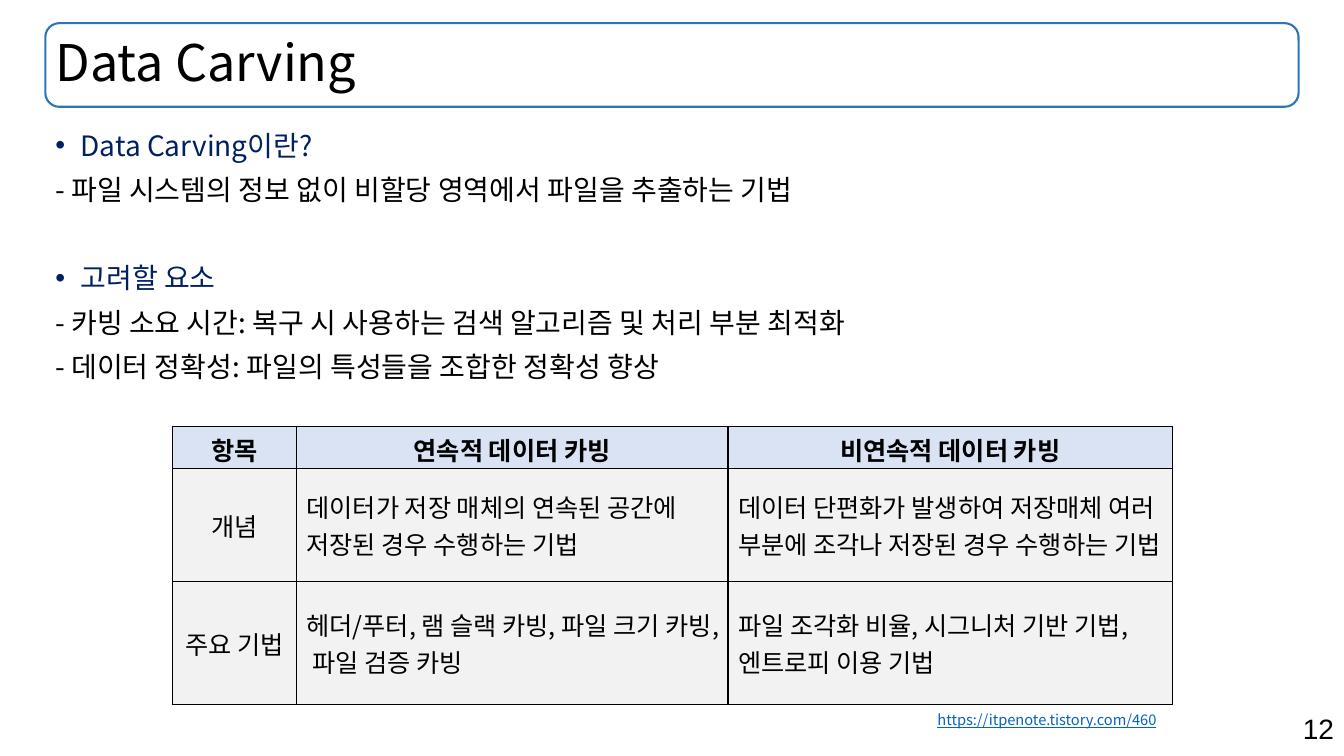
from lxml import etree
from pptx import Presentation
from pptx.dml.color import RGBColor
from pptx.enum.shapes import MSO_SHAPE
from pptx.enum.text import MSO_ANCHOR, PP_ALIGN
from pptx.oxml.ns import qn
from pptx.util import Inches, Pt

ROUND_RECT = MSO_SHAPE.ROUNDED_RECTANGLE
TOP, MIDDLE = MSO_ANCHOR.TOP, MSO_ANCHOR.MIDDLE
LEFT, CENTER, RIGHT = PP_ALIGN.LEFT, PP_ALIGN.CENTER, PP_ALIGN.RIGHT
KOREAN = "Noto Sans CJK KR"
BLACK, NAVY, BLUE, LINK = "000000", "002060", "2E75B6", "0563C1"
HEADER_FILL, CELL_FILL = "DAE3F3", "F2F2F2"

SECTIONS = [
    ("Data Carving이란?", ["파일 시스템의 정보 없이 비할당 영역에서 파일을 추출하는 기법"]),
    ("고려할 요소", [
        "카빙 소요 시간: 복구 시 사용하는 검색 알고리즘 및 처리 부분 최적화",
        "데이터 정확성: 파일의 특성들을 조합한 정확성 향상",
    ]),
]
COLUMN_WIDTHS = [1.23, 4.28, 4.41]
ROW_HEIGHTS = [0.42, 1.12, 1.22]
TABLE_ROWS = [
    ["항목", "연속적 데이터 카빙", "비연속적 데이터 카빙"],
    ["개념", "데이터가 저장 매체의 연속된 공간에 저장된 경우 수행하는 기법",
     "데이터 단편화가 발생하여 저장매체 여러 부분에 조각나 저장된 경우 수행하는 기법"],
    ["주요 기법", "헤더/푸터, 램 슬랙 카빙, 파일 크기 카빙, 파일 검증 카빙",
     "파일 조각화 비율, 시그니처 기반 기법, 엔트로피 이용 기법"],
]


def rgb(color):
    """Turn a hex string into a colour."""
    return RGBColor.from_string(color)


def add_run(p, text, size, color=BLACK, font=KOREAN, bold=False):
    """Add one formatted run, with the font set for Latin and Korean."""
    r = p.add_run()
    r.text = text
    r.font.size = Pt(size)
    r.font.name = font
    r.font.bold = bold
    r.font.color.rgb = rgb(color)
    etree.SubElement(r.font._element, qn("a:ea"), typeface=font)
    return r


def add_text_box(s, box, wrap=True):
    """Add an empty text box and return its first paragraph."""
    tf = s.shapes.add_textbox(*map(Inches, box)).text_frame
    tf.word_wrap = wrap
    return tf.paragraphs[0]


def add_title(s, box, text):
    """Place the title in its rounded frame."""
    sp = s.shapes.add_shape(ROUND_RECT, *map(Inches, box))
    sp.shadow.inherit = False
    sp.fill.background()
    sp.line.color.rgb = rgb(BLUE)
    sp.line.width = Pt(1.5)
    title = s.shapes.title
    title.left, title.top, title.width, title.height = map(Inches, box)
    tf = title.text_frame
    tf.vertical_anchor = MIDDLE
    p = tf.paragraphs[0]
    p.alignment = LEFT
    p.line_spacing = 0.9
    add_run(p, text, 36)


def add_body(s, box, sections):
    """Write bulleted headings with dashed lines below each."""
    first = add_text_box(s, box)
    tf = first._parent
    tf.vertical_anchor = TOP
    for i, (heading, lines) in enumerate(sections):
        p = tf.add_paragraph() if i else first
        pPr = p._p.get_or_add_pPr()
        pPr.set("marL", str(Inches(0.25)))
        pPr.set("indent", str(-Inches(0.25)))
        etree.SubElement(pPr, qn("a:buFont"), typeface="Arial")
        etree.SubElement(pPr, qn("a:buChar"), char="•")
        p.line_spacing = 0.9
        p.space_before = Pt(41.6 if i else 0)
        add_run(p, heading, 20, NAVY)
        for line in lines:
            p = tf.add_paragraph()
            p.line_spacing = 0.9
            p.space_before = Pt(10)
            add_run(p, "- " + line, 20)


def add_borders(cell):
    """Draw a thin black line on all four sides of a cell."""
    tcPr = cell._tc.get_or_add_tcPr()
    for side in ("lnL", "lnR", "lnT", "lnB"):
        ln = etree.SubElement(tcPr, qn("a:" + side), w=str(Pt(1)))
        fill = etree.SubElement(ln, qn("a:solidFill"))
        etree.SubElement(fill, qn("a:srgbClr"), val=BLACK)


def add_comparison(s, box, rows):
    """Build the table that compares the two kinds of carving."""
    table = s.shapes.add_table(len(rows), len(rows[0]), *map(Inches, box)).table
    for column, width in zip(table.columns, COLUMN_WIDTHS):
        column.width = Inches(width)
    for row, height in zip(table.rows, ROW_HEIGHTS):
        row.height = Inches(height)
    for i, texts in enumerate(rows):
        for j, text in enumerate(texts):
            cell = table.cell(i, j)
            add_borders(cell)
            cell.fill.solid()
            cell.fill.fore_color.rgb = rgb(CELL_FILL if i else HEADER_FILL)
            cell.vertical_anchor = MIDDLE
            p = cell.text_frame.paragraphs[0]
            p.alignment = LEFT if i and j else CENTER
            add_run(p, text, 18, bold=i == 0)


def add_source(s, box, address):
    """Write the underlined source address."""
    p = add_text_box(s, box, wrap=False)
    add_run(p, address, 10.5, LINK).font.underline = True


def add_page_number(s, box, number):
    """Write the page number at the right."""
    p = add_text_box(s, box)
    p.alignment = RIGHT
    add_run(p, number, 20, font="Arial")


def main():
    """Build and save the slide."""
    prs = Presentation()
    prs.slide_width, prs.slide_height = Inches(13.33), Inches(7.5)
    s = prs.slides.add_slide(prs.slide_layouts[5])
    add_page_number(s, (9.43, 7.01, 3.9, 0.44), "12")
    add_title(s, (0.45, 0.23, 12.43, 0.83), "Data Carving")
    add_body(s, (0.45, 1.26, 12.43, 2.8), SECTIONS)
    add_comparison(s, (1.71, 4.23, 9.92, 2.76), TABLE_ROWS)
    add_source(s, (9.2, 7, 2.53, 0.28), "https://itpenote.tistory.com/460")
    prs.save("out.pptx")


if __name__ == "__main__":
    main()
